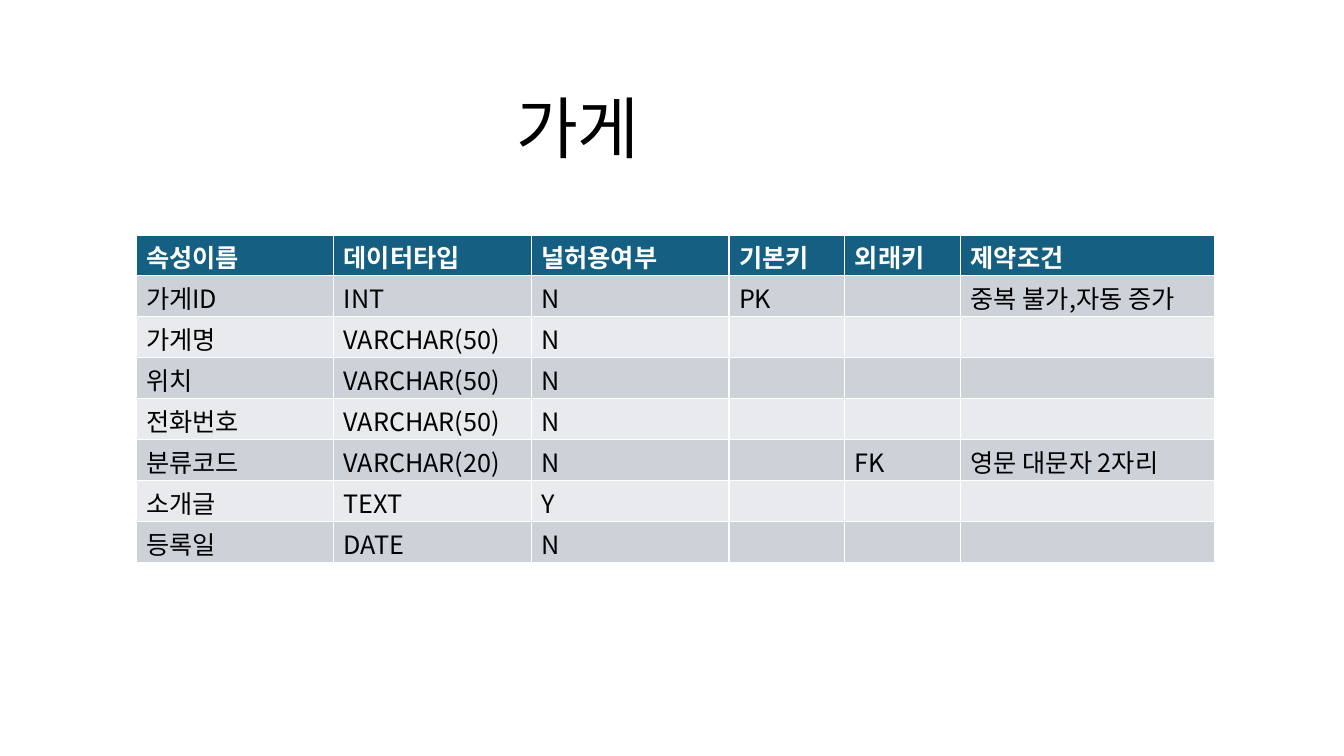
import pptx
import pptx.dml.color
import pptx.enum.text
import pptx.util
from lxml import etree

Cm = pptx.util.Cm
RGBColor = pptx.dml.color.RGBColor

FONT = "Noto Sans CJK KR"
BLACK = RGBColor(0x00, 0x00, 0x00)
WHITE = RGBColor(0xFF, 0xFF, 0xFF)
HEADER = RGBColor(0x15, 0x60, 0x82)
BANDS = [RGBColor(0xE8, 0xEA, 0xED), RGBColor(0xCC, 0xD2, 0xD8)]

COLUMN_WIDTHS = [4.98, 4.98, 4.98, 2.92, 2.92, 6.4]
ROW_HEIGHT = 1.03
ROWS = [
    ["속성이름", "데이터타입", "널허용여부", "기본키", "외래키", "제약조건"],
    ["가게ID", "INT", "N", "PK", "", "중복 불가,자동 증가"],
    ["가게명", "VARCHAR(50)", "N", "", "", ""],
    ["위치", "VARCHAR(50)", "N", "", "", ""],
    ["전화번호", "VARCHAR(50)", "N", "", "", ""],
    ["분류코드", "VARCHAR(20)", "N", "", "FK", "영문 대문자 2자리"],
    ["소개글", "TEXT", "Y", "", "", ""],
    ["등록일", "DATE", "N", "", "", ""],
]


def write(tf, text, size, color=BLACK, bold=False, spacing=1.0):
    p = tf.paragraphs[0]
    p.alignment = pptx.enum.text.PP_ALIGN.LEFT
    p.line_spacing = spacing
    r = p.add_run()
    r.text = text
    r.font.name = FONT
    r.font.size = pptx.util.Pt(size)
    r.font.bold = bold
    r.font.color.rgb = color
    ea = etree.SubElement(r.font._element, pptx.oxml.ns.qn("a:ea"))
    ea.set("typeface", FONT)


prs = pptx.Presentation()
prs.slide_width, prs.slide_height = Cm(33.87), Cm(19.05)
slide = prs.slides.add_slide(prs.slide_layouts[5])

title = slide.shapes.title
title.left, title.top, title.width, title.height = Cm(12.75), Cm(2.03), Cm(7.37), Cm(2.31)
title.text_frame.vertical_anchor = pptx.enum.text.MSO_ANCHOR.MIDDLE
write(title.text_frame, "가게", 48)

table = slide.shapes.add_table(
    len(ROWS), len(COLUMN_WIDTHS), Cm(3.43), Cm(5.92),
    Cm(sum(COLUMN_WIDTHS)), Cm(ROW_HEIGHT * len(ROWS))).table
for column, width in zip(table.columns, COLUMN_WIDTHS):
    column.width = Cm(width)

for i, row in enumerate(ROWS):
    table.rows[i].height = Cm(ROW_HEIGHT)
    is_header = i == 0
    for j, text in enumerate(row):
        cell = table.cell(i, j)
        cell.margin_top, cell.margin_bottom = Cm(0.2), Cm(0.05)
        cell.fill.solid()
        cell.fill.fore_color.rgb = HEADER if is_header else BANDS[i % 2]
        if text:
            write(cell.text_frame, text, 18, WHITE if is_header else BLACK, is_header, 0.85)

prs.save("out.pptx")
